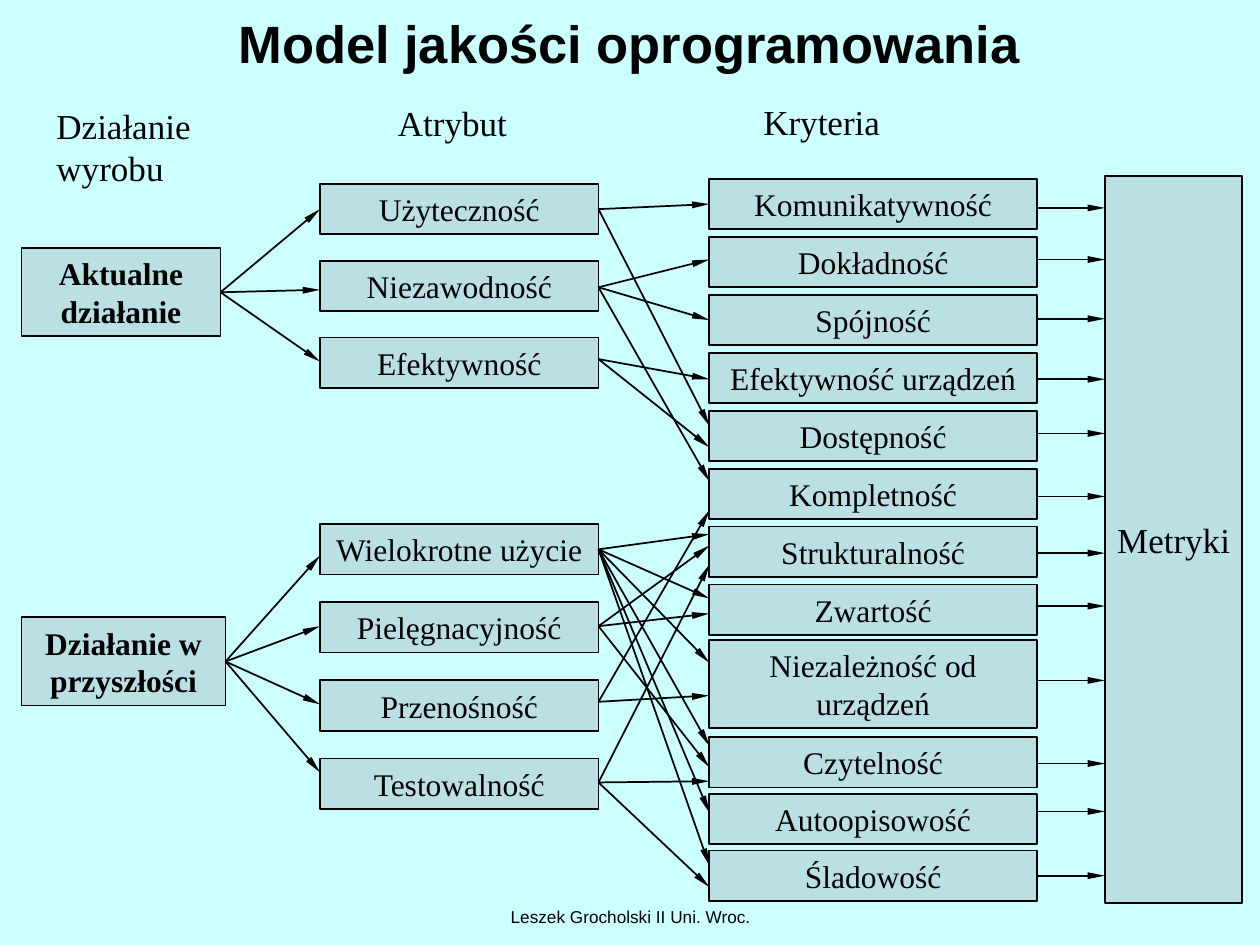
from lxml import etree
from pptx import Presentation
from pptx.dml.color import RGBColor
from pptx.enum.shapes import MSO_CONNECTOR, MSO_SHAPE
from pptx.enum.text import MSO_ANCHOR, MSO_AUTO_SIZE, PP_ALIGN
from pptx.oxml.ns import qn
from pptx.util import Inches, Pt

RECT = MSO_SHAPE.RECTANGLE
STRAIGHT = MSO_CONNECTOR.STRAIGHT
TOP, MIDDLE = MSO_ANCHOR.TOP, MSO_ANCHOR.MIDDLE
LEFT, CENTER = PP_ALIGN.LEFT, PP_ALIGN.CENTER
NO_FIT, FIT_SHAPE = MSO_AUTO_SIZE.NONE, MSO_AUTO_SIZE.SHAPE_TO_FIT_TEXT
BACKGROUND = RGBColor(0xCC, 0xFF, 0xFF)
BOX = RGBColor(0xBB, 0xE0, 0xE3)
BLACK = RGBColor(0, 0, 0)
SERIF, SANS = "Times New Roman", "Arial"

ACTION_X, ATTR_X, CRIT_X, METRIC_X = 0.17, 2.54, 5.63, 8.77
ATTR_W, CRIT_W, METRIC_W = 2.21, 2.6, 1.09
ROW_H, DOUBLE_H = 0.4, 0.7

HEADINGS = [
    ("Działanie\nwyrobu", 0.35, 0.78, 1.3, 0.77),
    ("Atrybut", 3.06, 0.76, 1.1, 0.44),
    ("Kryteria", 5.96, 0.75, 1.16, 0.44),
]
ACTIONS = [
    ("Aktualne działanie", 1.97, 1.58, [1.66, 2.3, 2.87]),
    ("Działanie w przyszłości", 4.9, 1.62, [4.41, 4.97, 5.59, 6.13]),
]
CURRENT_ATTRS = ["Użyteczność", "Niezawodność", "Efektywność"]
FUTURE_ATTRS = ["Wielokrotne użycie", "Pielęgnacyjność", "Przenośność", "Testowalność"]
UPPER_CRITERIA = [
    "Komunikatywność", "Dokładność", "Spójność", "Efektywność urządzeń",
    "Dostępność", "Kompletność", "Strukturalność", "Zwartość",
]
LOWER_CRITERIA = ["Czytelność", "Autoopisowość", "Śladowość"]
ATTR_LINKS = [
    (1.66, [1.62, 3.38]),
    (2.28, [2.06, 2.54, 3.82]),
    (2.85, [3.01, 3.55]),
    (4.36, [4.24, 4.75, 5.26, 5.92, 6.45, 6.87]),
    (4.97, [4.33, 4.87, 6.09]),
    (5.57, [4.05, 5.52]),
    (6.21, [4.48, 6.2, 7.04]),
]
METRIC_LINKS = [1.65, 2.06, 2.53, 3.01, 3.44, 3.94, 4.39, 4.81, 5.4, 6.06, 6.44, 6.95]


def write(sp, text, size, font=SERIF, bold=False, align=CENTER, anchor=TOP,
          wrap=True, fit=NO_FIT):
    """Fill a shape with text in one style."""
    tf = sp.text_frame
    tf.word_wrap = wrap
    tf.auto_size = fit
    tf.vertical_anchor = anchor
    tf.text = text
    for p in tf.paragraphs:
        p.alignment = align
        p.font.size = Pt(size)
        p.font.name = font
        p.font.bold = bold
        p.font.color.rgb = BLACK


def add_label(s, text, x, y, w, h, size, **style):
    """Add a plain text box."""
    sp = s.shapes.add_textbox(Inches(x), Inches(y), Inches(w), Inches(h))
    write(sp, text, size, **style)


def add_box(s, text, x, y, w, h=ROW_H, size=18, **style):
    """Add an outlined box with text."""
    sp = s.shapes.add_shape(RECT, Inches(x), Inches(y), Inches(w), Inches(h))
    sp.shadow.inherit = False
    sp.fill.solid()
    sp.fill.fore_color.rgb = BOX
    sp.line.color.rgb = BLACK
    sp.line.width = Pt(1)
    write(sp, text, size, **style)


def add_stack(s, names, x, top, w, pitch):
    """Add a column of boxes at an equal pitch."""
    for row, name in enumerate(names):
        add_box(s, name, x, top + row * pitch, w)


def add_arrow(s, x1, y1, x2, y2):
    """Add a thin line with a slender arrowhead at its end."""
    c = s.shapes.add_connector(STRAIGHT, Inches(x1), Inches(y1), Inches(x2), Inches(y2))
    c.line.color.rgb = BLACK
    c.line.width = Pt(1)
    etree.SubElement(c.line._get_or_add_ln(), qn("a:tailEnd"), type="triangle", w="sm", len="lg")
    etree.SubElement(c._element.spPr, qn("a:effectLst"))


def add_fan(s, x1, y1, x2, ends):
    """Add arrows from one point to several heights."""
    for y2 in ends:
        add_arrow(s, x1, y1, x2, y2)


def main():
    """Build the slide and save it."""
    prs = Presentation()
    prs.slide_width, prs.slide_height = Inches(10), Inches(7.5)
    s = prs.slides.add_slide(prs.slide_layouts[6])
    s.background.fill.solid()
    s.background.fill.fore_color.rgb = BACKGROUND

    add_label(s, "Leszek Grocholski II Uni. Wroc.", 3.42, 7.14, 3.17, 0.28, 9.8, font=SANS)
    add_label(s, "Model jakości oprogramowania", 0.27, 0, 9.45, 0.68, 30,
              font=SANS, bold=True, anchor=MIDDLE)
    for text, x, y, w, h in HEADINGS:
        add_label(s, text, x, y, w, h, 20, align=LEFT, wrap=False, fit=FIT_SHAPE)

    for text, y, w, _ in ACTIONS:
        add_box(s, text, ACTION_X, y, w, DOUBLE_H, bold=True)
    add_stack(s, CURRENT_ATTRS, ATTR_X, 1.46, ATTR_W, 0.61)
    add_stack(s, FUTURE_ATTRS, ATTR_X, 4.16, ATTR_W, 0.62)
    add_stack(s, UPPER_CRITERIA, CRIT_X, 1.42, CRIT_W, 0.46)
    add_box(s, "Niezależność od urządzeń", CRIT_X, 5.08, CRIT_W, DOUBLE_H)
    add_stack(s, LOWER_CRITERIA, CRIT_X, 5.85, CRIT_W, 0.45)
    add_box(s, "Metryki", METRIC_X, 1.4, METRIC_W, 5.77, 20, anchor=MIDDLE, wrap=False)

    for _, y, w, ends in ACTIONS:
        add_fan(s, ACTION_X + w, y + DOUBLE_H / 2, ATTR_X, ends)
    for y, ends in ATTR_LINKS:
        add_fan(s, ATTR_X + ATTR_W, y, CRIT_X, ends)
    for y in METRIC_LINKS:
        add_arrow(s, CRIT_X + CRIT_W, y, METRIC_X, y)
    prs.save("out.pptx")


if __name__ == "__main__":
    main()
